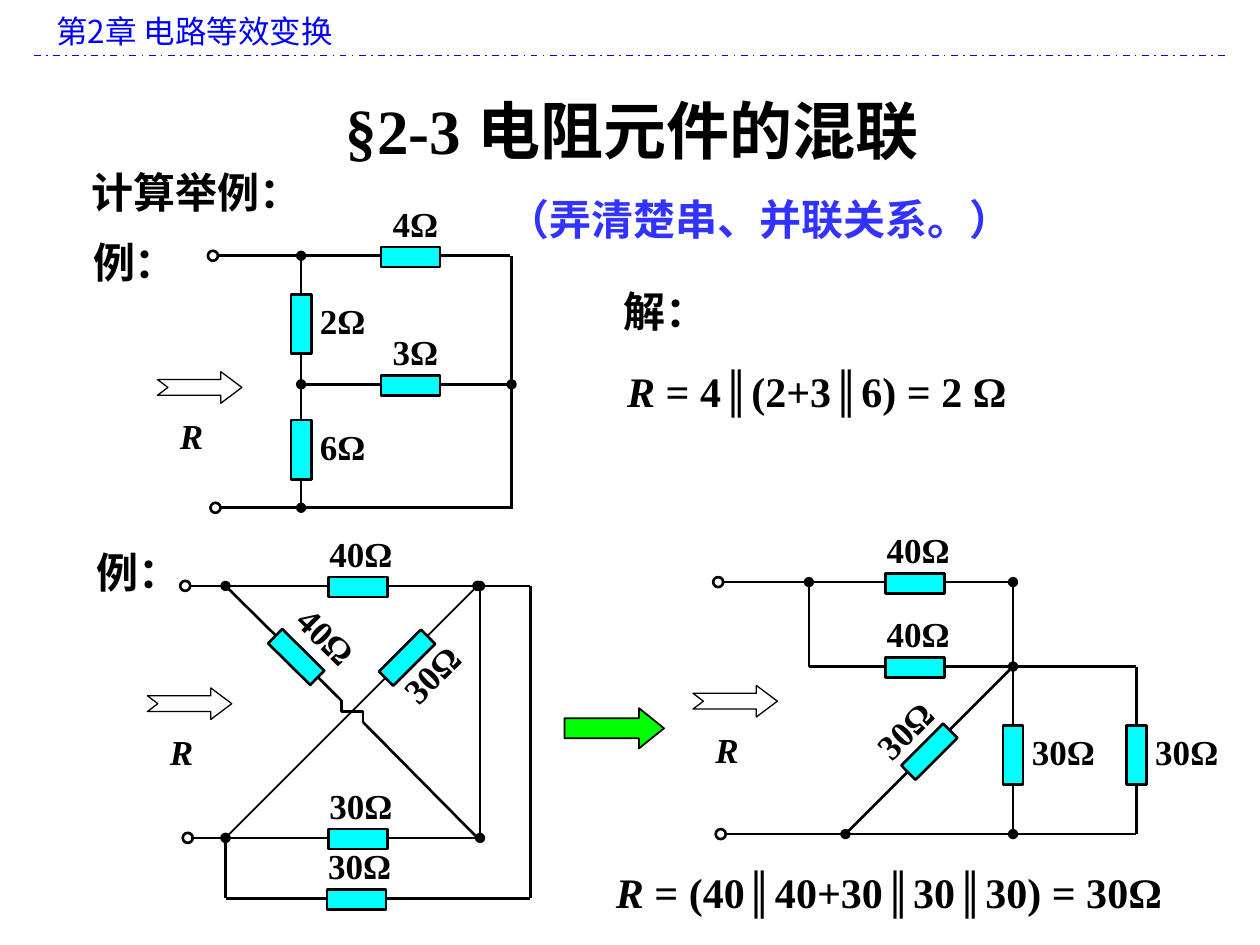
from math import atan2, degrees

from lxml.etree import SubElement
from pptx import Presentation
from pptx.dml.color import RGBColor
from pptx.enum.dml import MSO_LINE
from pptx.enum.shapes import MSO_CONNECTOR as LINK, MSO_SHAPE as SHAPE
from pptx.enum.text import MSO_ANCHOR, MSO_AUTO_SIZE, PP_ALIGN
from pptx.oxml.ns import qn
from pptx.util import Inches, Pt

COLORS = {"black": "000000", "white": "FFFFFF", "blue": "0000FF",
          "note": "3333FF", "resistor": "00FFFF", "arrow": "00FF00"}
SERIF, SANS = "Times New Roman", "Noto Sans CJK SC"

# Content: a leading R is set in italics
HEADER = "第2章 电路等效变换"
TITLE = "§2-3 电阻元件的混联"
# left, top, width, colour, text
TEXTS = [
    (3.93, 1.49, 4.92, "note", "（弄清楚串、并联关系。）"),
    (4.88, 2.85, 4.33, "black", "R = 4∥(2+3∥6) = 2 Ω"),
    (0.64, 1.83, 1.33, "black", "例："),
    (0.63, 1.27, 2.25, "black", "计算举例："),
    (4.85, 2.22, 1.33, "black", "解："),
    (0.67, 4.29, 1.13, "black", "例："),
    (4.79, 6.83, 5.19, "black", "R = (40∥40+30∥30∥30) = 30Ω"),
]

# A node is a column letter and a row letter.
# wires: nodes, dotted ends; thin: the wires of 1 point
# resistors: nodes, label, then optional place along the wire and label shift
CIRCUITS = [
    {"lead": (1.72, 2.03), "arrow": (1.25, 2.95),
     "columns": {"A": 2.39, "D": 4.06},
     "rows": {"a": 2.03, "b": 3.05, "c": 4.03},
     "wires": {"Ab Db": "both", "Aa Ac": "both", "Da Dc": ""},
     "thin": [],
     "resistors": [("Aa Da", "4Ω"), ("Aa Ab", "2Ω"),
                   ("Ab Db", "3Ω"), ("Ab Ac", "6Ω")]},
    {"lead": (1.5, 4.65), "arrow": (1.17, 5.46),
     "columns": {"A": 1.79, "C": 2.71, "E": 2.88, "F": 3.79, "H": 3.81, "G": 4.21},
     "rows": {"a": 4.65, "p": 5.56, "q": 5.73, "b": 6.65, "c": 7.13},
     "wires": {"Ha Hb": "both", "Fb Eq": "", "Aa Cp": "head", "Fa Ab": "both",
               "Fa Ga": "head", "Ga Gc": "", "Ab Ac": "head", "Ac Gc": ""},
     "thin": ["Fa Ab", "Fa Ga"],
     "bridge": "Ep Cq",
     "resistors": [("Aa Ha", "40Ω"), ("Ab Hb", "30Ω"), ("Ac Gc", "30Ω", 0.43),
                   ("Aa Cp", "40Ω", 0.61, (0.26, -0.14)),
                   ("Fa Ab", "30Ω", 0.28, (0.21, 0.12))]},
    {"lead": (5.73, 4.62), "arrow": (5.5, 5.44),
     "columns": {"A": 6.42, "B": 6.71, "D": 8.04, "G": 9.02},
     "rows": {"a": 4.62, "b": 5.29, "c": 6.62},
     "wires": {"Da Dc": "both", "Db Ab": "", "Ab Aa": "tail", "Db Bc": "both",
               "Db Gb": "", "Dc Gc": "", "Gb Gc": ""},
     "thin": ["Dc Gc"],
     "resistors": [("Aa Da", "40Ω"), ("Ab Db", "40Ω"), ("Db Dc", "30Ω"),
                   ("Gb Gc", "30Ω"), ("Db Bc", "30Ω", 0.5, (-0.18, -0.18))]},
]
LEAD_LENGTH, LEAD_SHIFTS = 2.33, [(0, 0), (0.02, 2)]
LABEL_HEIGHT = 0.43


def color(name):
    return RGBColor.from_string(COLORS[name])


def style_font(font, size, name, ink, bold=True):
    font.size, font.name, font.bold = Pt(size), name, bold
    font.color.rgb = color(ink)


def add_text(shapes, at, text, size, ink="black", name=SERIF, bold=True,
             rotation=0, wrap=True):
    box = shapes.add_textbox(*map(Inches, at))
    box.rotation = rotation
    box.text_frame.word_wrap = wrap
    para = box.text_frame.paragraphs[0]
    style_font(para.font, size, name, ink, bold)
    if text.startswith("R"):
        span = para.add_run()
        span.text, text = "R", text[1:]
        span.font.italic = True
    if text:
        para.add_run().text = text


def add_line(shapes, ends, width=1.5, dots="", ink="black", kind=LINK.STRAIGHT):
    wire = shapes.add_connector(kind, *map(Inches, ends))
    wire.line.color.rgb = color(ink)
    wire.line.width = Pt(width)
    properties = wire._element.spPr
    for end in ("head", "tail"):
        if dots in (end, "both"):
            SubElement(properties.find(qn("a:ln")), qn(f"a:{end}End"), type="oval")
    SubElement(properties, qn("a:effectLst"))
    return wire


def add_part(shapes, kind, at, fill=None, width=1.5, rotation=0, adjust=()):
    part = shapes.add_shape(kind, *map(Inches, at))
    part.shadow.inherit = False
    part.rotation = rotation
    for index, value in enumerate(adjust):
        part.adjustments[index] = value
    if fill:
        part.fill.solid()
        part.fill.fore_color.rgb = color(fill)
    else:
        part.fill.background()
    part.line.color.rgb = color("black")
    part.line.width = Pt(width)


def centred(x, y, width, height):
    return x - width / 2, y - height / 2, width, height


def add_resistor(shapes, ends, text, place=0.52, shift=(0.05, -0.26)):
    x1, y1, x2, y2 = ends
    x, y = x1 + place * (x2 - x1), y1 + place * (y2 - y1)
    angle = degrees(atan2(y2 - y1, x2 - x1))
    width = 0.58 if len(text) == 2 else 0.75
    slant = 0
    if x1 == x2:  # label to the right of an upright resistor
        shift = (0.05 + width / 2, -0.02)
    elif y1 != y2:
        slant = angle if angle < 90 else angle + 180
    label = centred(x + shift[0], y + shift[1], width, LABEL_HEIGHT)
    add_text(shapes, label, text, 20, rotation=slant)
    add_part(shapes, SHAPE.RECTANGLE, centred(x, y + 0.01, 0.47, 0.16),
             "resistor", rotation=angle)


def add_circuit(slide, circuit):
    shapes = slide.shapes.add_group_shape().shapes

    def ends_of(nodes):
        return [value for column, row in nodes.split()
                for value in (circuit["columns"][column], circuit["rows"][row])]

    # Leads with open terminals
    x, y = circuit["lead"]
    for right, down in LEAD_SHIFTS:
        start, level = x + right, y + down
        add_line(shapes, (start, level, start + LEAD_LENGTH, level))
        add_part(shapes, SHAPE.OVAL, centred(start - 0.03, level, 0.08, 0.08))

    # Wires and the jump over a crossing
    for nodes, dots in circuit["wires"].items():
        add_line(shapes, ends_of(nodes), 1 if nodes in circuit["thin"] else 1.5, dots)
    if "bridge" in circuit:
        jump = add_line(shapes, ends_of(circuit["bridge"]), kind=LINK.ELBOW)
        jump._element.spPr.find(qn("a:xfrm")).set("rot", str(270 * 60000))

    for nodes, *details in circuit["resistors"]:
        add_resistor(shapes, ends_of(nodes), *details)

    # Input arrow and its name
    left, top = circuit["arrow"]
    add_part(shapes, SHAPE.NOTCHED_RIGHT_ARROW, (left, top, 0.67, 0.25),
             "white", 0.75, adjust=(0.5, 0.667))
    add_text(shapes, (left + 0.08, top + 0.29, 0.39, LABEL_HEIGHT), "R", 20,
             wrap=False)


def main():
    deck = Presentation()
    deck.slide_width, deck.slide_height = Inches(10), Inches(7.5)
    slide = deck.slides.add_slide(deck.slide_layouts[5])
    shapes = slide.shapes

    # Chapter header
    add_text(shapes, (0.35, 0.05, 9.37, 0.4), HEADER, 18, "blue", SANS, bold=False)
    rule = add_line(shapes, (0.27, 0.44, 9.72, 0.44), 1, ink="blue")
    rule.line.dash_style = MSO_LINE.DASH_DOT

    # Title
    title = shapes.title
    title.left, title.top, title.width, title.height = map(
        Inches, (0.44, 0.68, 9.15, 0.7))
    frame = title.text_frame
    frame.text = TITLE
    frame.auto_size = MSO_AUTO_SIZE.NONE
    frame.vertical_anchor = MSO_ANCHOR.TOP
    para = frame.paragraphs[0]
    para.alignment = PP_ALIGN.CENTER
    style_font(para.font, 36, SERIF, "black")

    # Headings and solutions
    for left, top, width, ink, text in TEXTS:
        add_text(shapes, (left, top, width, 0.5), text, 24, ink)

    # Circuits, with the arrow between the equivalent ones
    add_part(shapes, SHAPE.RIGHT_ARROW, (4.48, 5.62, 0.79, 0.32), "arrow", 1,
             adjust=(0.5, 0.622))
    for circuit in CIRCUITS:
        add_circuit(slide, circuit)

    deck.save("out.pptx")


if __name__ == "__main__":
    main()
